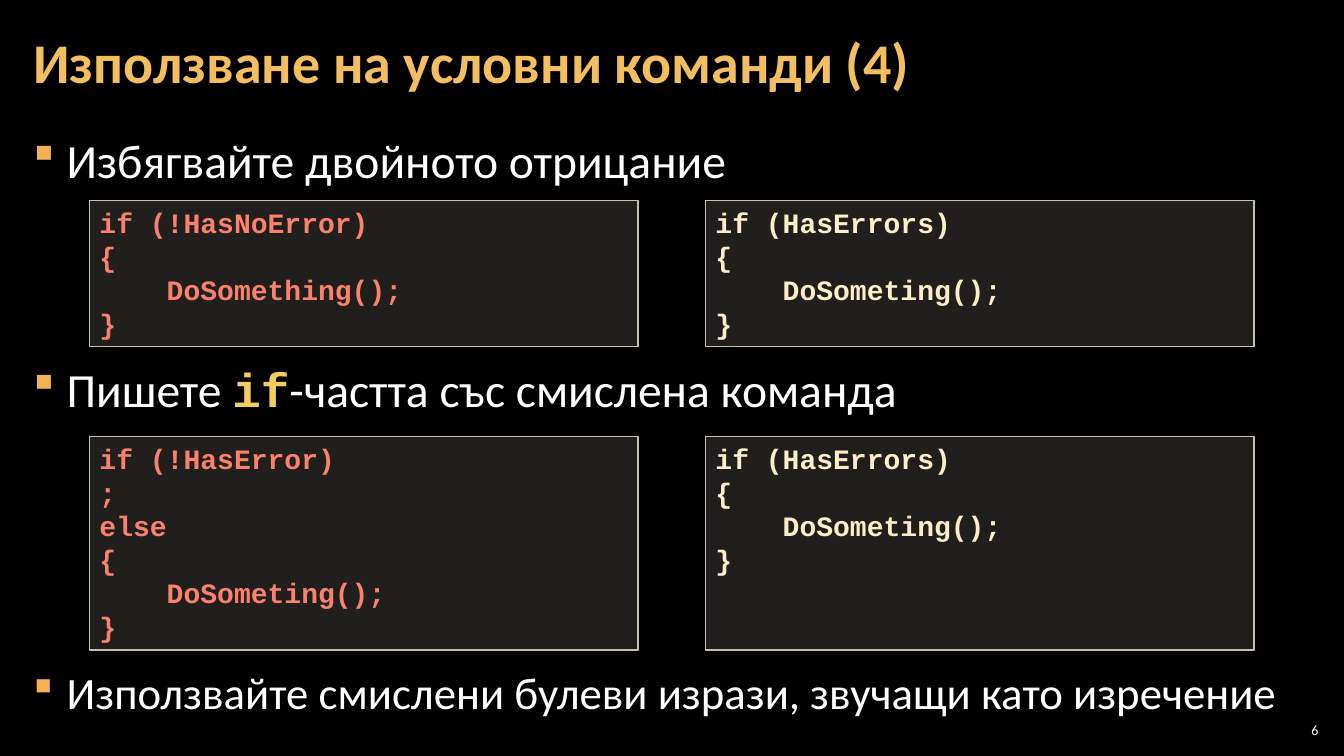
from lxml.etree import SubElement
from pptx import Presentation
from pptx.dml.color import RGBColor
from pptx.enum.shapes import MSO_SHAPE
from pptx.enum.text import MSO_ANCHOR, PP_ALIGN
from pptx.oxml.ns import qn
from pptx.util import Pt

TITLE = "Използване на условни команди (4)"
PAGE_NUMBER = "6"
WHITE, GOLD, KEYWORD = "FFFFFF", "F3BE60", "F3CD60"
BULLET, BAD, GOOD = "F2B254", "FB816D", "FBEEC9"
PANEL, BORDER = "D9D5C7", "C7BFAC"
BODY_FONT, CODE_FONT = "Calibri", "Courier New"
# In Wingdings the section sign is drawn as a small square
BULLET_FONT, BULLET_SIGN = "Wingdings", "§"

# (space before, size, [(text, is keyword)])
ADVICE = [
    (0, 34, [("Избягвайте двойното отрицание", False)]),
    (123, 34, [("Пишете ", False), ("if", True),
               ("-частта със смислена команда", False)]),
    (177, 32, [("Използвайте смислени булеви изрази, звучащи като изречение",
                False)]),
]

CLEAR_CODE = ["if (HasErrors)", "{", "    DoSometing();", "}"]
# (top, height, discouraged code, preferred code)
COMPARISONS = [
    (143.3, 104.4,
     ["if (!HasNoError)", "{", "    DoSomething();", "}"], CLEAR_CODE),
    (311.8, 152.6,
     ["if (!HasError)", ";", "else", "{", "    DoSometing();", "}"],
     CLEAR_CODE),
]
CODE_LEFT, CODE_WIDTH, CODE_STEP = 64, 391.7, 440
MARGIN, CONTENT_WIDTH = 15.1, 929.5


def rgb(color):
    return RGBColor.from_string(color)


def add_run(paragraph, text, size, color, font=BODY_FONT, bold=False):
    run = paragraph.add_run()
    run.text = text
    run.font.size = Pt(size)
    run.font.name = font
    run.font.bold = bold
    run.font.color.rgb = rgb(color)


def add_text_frame(slide, left, top, width, height, inset, anchor):
    frame = slide.shapes.add_textbox(
        Pt(left), Pt(top), Pt(width), Pt(height)).text_frame
    frame.word_wrap = True
    frame.vertical_anchor = anchor
    frame.margin_left = frame.margin_right = Pt(inset)
    frame.margin_top = frame.margin_bottom = Pt(2.8)
    return frame


def add_bullet(paragraph):
    properties = paragraph._p.get_or_add_pPr()
    properties.set("marL", str(Pt(24)))
    properties.set("indent", str(Pt(-24)))
    color = SubElement(properties, qn("a:buClr"))
    SubElement(color, qn("a:srgbClr")).set("val", BULLET)
    font = SubElement(properties, qn("a:buFont"))
    font.set("typeface", BULLET_FONT)
    font.set("charset", "2")
    SubElement(properties, qn("a:buChar")).set("char", BULLET_SIGN)


def add_code(slide, left, top, height, lines, color):
    panel = slide.shapes.add_shape(
        MSO_SHAPE.RECTANGLE, Pt(left), Pt(top), Pt(CODE_WIDTH), Pt(height))
    panel.shadow.inherit = False
    panel.fill.solid()
    panel.fill.fore_color.rgb = rgb(PANEL)
    tint = panel.fill._xPr.find(qn("a:solidFill"))[0]
    SubElement(tint, qn("a:alpha")).set("val", "15000")
    panel.line.color.rgb = rgb(BORDER)
    panel.line.width = Pt(1)
    frame = panel.text_frame
    frame.word_wrap = True
    frame.vertical_anchor = MSO_ANCHOR.TOP
    for index, line in enumerate(lines):
        paragraph = frame.add_paragraph() if index else frame.paragraphs[0]
        paragraph.alignment = PP_ALIGN.LEFT
        add_run(paragraph, line, 20, color, CODE_FONT, True)


def main():
    deck = Presentation()
    deck.slide_width, deck.slide_height = Pt(960), Pt(540)
    slide = deck.slides.add_slide(deck.slide_layouts[6])
    slide.background.fill.solid()
    slide.background.fill.fore_color.rgb = rgb("000000")

    title = add_text_frame(slide, MARGIN, 2.9, CONTENT_WIDTH, 87.1, 8.5,
                           MSO_ANCHOR.MIDDLE).paragraphs[0]
    title.line_spacing = 0.9
    add_run(title, TITLE, 40, GOLD, bold=True)

    body = add_text_frame(slide, MARGIN, 90.6, CONTENT_WIDTH, 438.4, 8.5,
                          MSO_ANCHOR.TOP)
    for index, (space, size, pieces) in enumerate(ADVICE):
        advice = body.add_paragraph() if index else body.paragraphs[0]
        add_bullet(advice)
        advice.space_before = Pt(space)
        for text, is_keyword in pieces:
            if is_keyword:
                add_run(advice, text, size, KEYWORD, CODE_FONT, True)
            else:
                add_run(advice, text, size, WHITE)

    for top, height, *snippets in COMPARISONS:
        for column, (lines, color) in enumerate(zip(snippets, (BAD, GOOD))):
            add_code(slide, CODE_LEFT + column * CODE_STEP, top, height,
                     lines, color)

    number = add_text_frame(slide, 910.8, 514.1, 33.8, 15.1, 2.8,
                            MSO_ANCHOR.MIDDLE).paragraphs[0]
    number.alignment = PP_ALIGN.RIGHT
    add_run(number, PAGE_NUMBER, 10, WHITE)
    deck.save("out.pptx")


if __name__ == "__main__":
    main()
